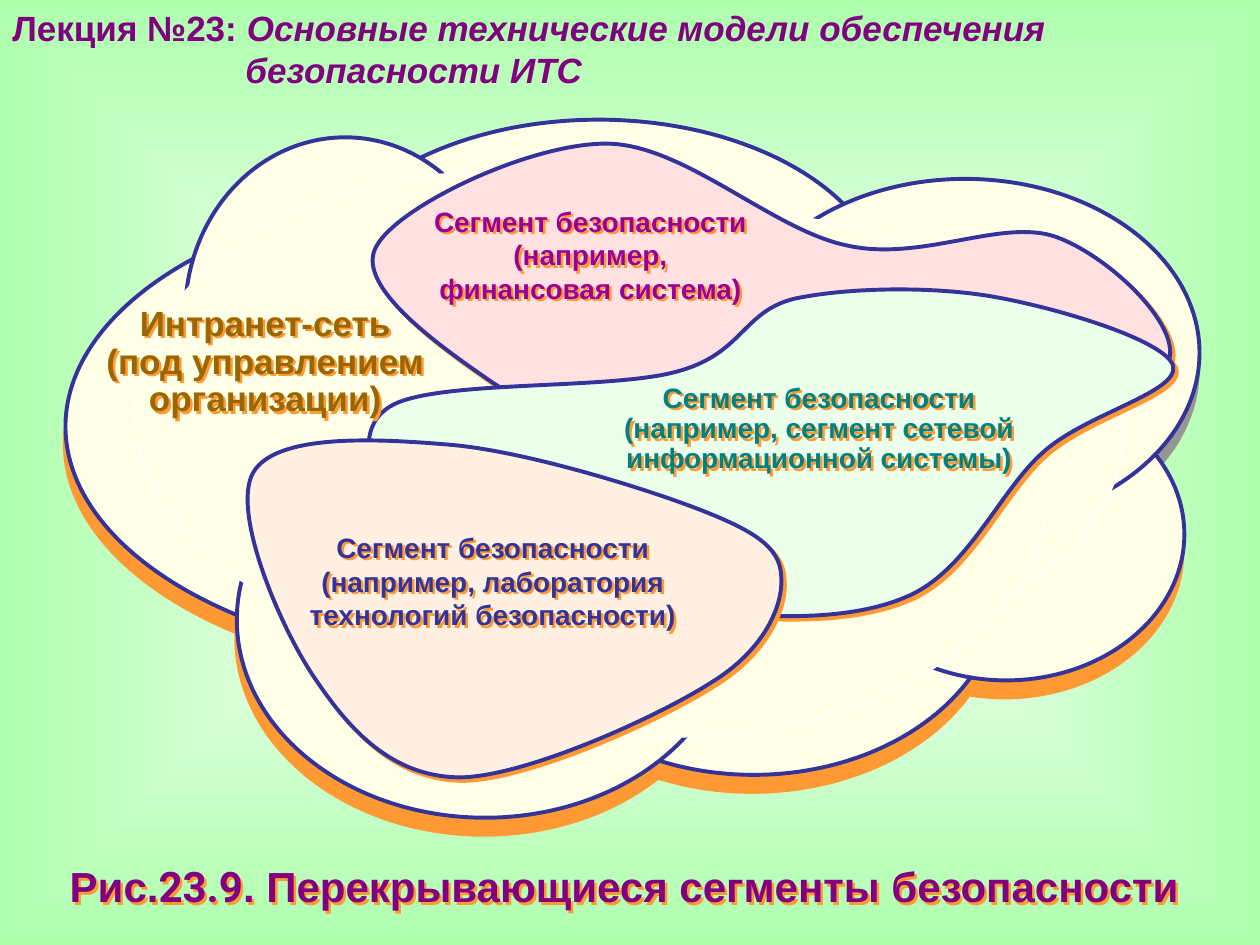
from dataclasses import dataclass
from typing import NamedTuple, Optional

from lxml.etree import SubElement
from pptx import Presentation
from pptx.dml.color import RGBColor
from pptx.enum.shapes import MSO_SHAPE as Preset
from pptx.enum.text import MSO_ANCHOR as Anchor, MSO_AUTO_SIZE as AutoSize, PP_ALIGN as Align
from pptx.oxml.ns import qn
from pptx.util import Cm, Pt


@dataclass(frozen=True)
class Theme:
    font: str = "Arial"
    number_font: str = "Roboto"
    heading_size: int = 20
    label_size: int = 16
    caption_size: int = 24
    outline_width: float = 2.25
    shadow_width: float = 1.5
    core_width: float = 0.75
    heading: str = "800080"
    intranet: str = "996600"
    finance: str = "990099"
    network: str = "008080"
    outline: str = "333399"
    cloud: str = "FFFFE7"
    finance_fill: str = "FFE1E1"
    network_fill: str = "EBFFEB"
    lab_fill: str = "FFF0E1"
    orange: str = "FF9933"
    grey: str = "969696"
    white: str = "FFFFFF"
    green: str = "AFFFAF"


class Box(NamedTuple):
    """Left, top, width and height in inches."""
    left: float
    top: float
    width: float
    height: float

    def emu(self) -> list[int]:
        return [inch(value) for value in self]


class Lobe(NamedTuple):
    box: Box
    shadow: str


class Segment(NamedTuple):
    """Closed outline: a start point, then three points for each Bezier curve."""
    fill: str
    points: list[tuple[float, float]]


class Label(NamedTuple):
    box: Box
    lines: list[str]
    color: str
    size: int
    spacing: Optional[float] = None


THEME = Theme()
SHADOW_SHIFT = (-0.01, 0.14)

LOBES = [
    Lobe(Box(4.01, 3.15, 3.94, 3), THEME.orange),
    Lobe(Box(2.45, 0.95, 4.6, 2.87), THEME.grey),
    Lobe(Box(6.57, 3.08, 2.83, 2.32), THEME.orange),
    Lobe(Box(5.8, 1.42, 3.72, 2.76), THEME.grey),
    Lobe(Box(0.52, 1.5, 6.94, 3.77), THEME.orange),
    Lobe(Box(1.88, 3.35, 3.94, 3.14), THEME.orange),
    Lobe(Box(1.47, 1.09, 2.54, 2.8), THEME.grey),
]
CLOUD_CORE = [Box(1.24, 1.61, 7.66, 3.79), Box(1.07, 1.35, 5.97, 3.84), Box(2.34, 2.01, 5.97, 3.84)]

SEGMENTS = [
    Segment(THEME.finance_fill, [
        (8.38, 1.88), (8.8, 2.03), (9.36, 2.57), (9.28, 2.85),
        (9.2, 3.14), (8.51, 3.45), (7.89, 3.59), (7.26, 3.73), (6.19, 3.78), (5.53, 3.68),
        (4.87, 3.59), (4.33, 3.31), (3.9, 3.03), (3.48, 2.74), (2.83, 2.28), (2.98, 1.97),
        (3.13, 1.65), (4.19, 1.14), (4.81, 1.14), (5.43, 1.14), (6.13, 1.83), (6.73, 1.95),
        (7.32, 2.08), (7.95, 1.73), (8.38, 1.88)]),
    Segment(THEME.network_fill, [
        (7.21, 4.73), (6.74, 4.94), (6.06, 4.91), (5.42, 4.83),
        (4.78, 4.74), (3.74, 4.5), (3.36, 4.23), (2.97, 3.97), (2.76, 3.44), (3.09, 3.23),
        (3.43, 3.01), (4.83, 3.1), (5.37, 2.95), (5.9, 2.81), (5.89, 2.47), (6.31, 2.37),
        (6.74, 2.28), (7.42, 2.27), (7.91, 2.36), (8.41, 2.45), (9.24, 2.7), (9.31, 2.9),
        (9.37, 3.11), (8.63, 3.28), (8.29, 3.58), (7.94, 3.88), (7.69, 4.52), (7.21, 4.73)]),
    Segment(THEME.lab_fill, [
        (6.2, 4.57), (6.19, 4.34), (5.98, 4.21), (5.54, 4.04),
        (5.1, 3.87), (4.16, 3.58), (3.57, 3.53), (2.98, 3.48), (2.19, 3.44), (2.01, 3.75),
        (1.83, 4.06), (2.23, 5), (2.51, 5.4), (2.78, 5.8), (3.11, 6.16), (3.64, 6.17),
        (4.16, 6.17), (5.22, 5.69), (5.64, 5.42), (6.07, 5.16), (6.22, 4.8), (6.2, 4.57)]),
]

LABELS = [
    Label(Box(0.77, 2.43, 2.67, 0.9), ["Интранет-сеть", "(под управлением организации)"],
          THEME.intranet, THEME.heading_size, 0.9),
    Label(Box(3.39, 1.62, 2.59, 0.8), ["Сегмент безопасности (например, финансовая система)"],
          THEME.finance, THEME.label_size),
    Label(Box(4.94, 3.05, 3.12, 0.72),
          ["Сегмент безопасности (например, сегмент сетевой информационной системы)"],
          THEME.network, THEME.label_size, 0.9),
    Label(Box(2.45, 4.21, 2.92, 0.8),
          ["Сегмент безопасности (например, лаборатория технологий безопасности)"],
          THEME.outline, THEME.label_size),
]


def inch(value: float) -> int:
    return Cm(value * 2.54)


def paint(shape, fill: str, line: str, width: float) -> None:
    shape.shadow.inherit = False
    shape.fill.solid()
    shape.fill.fore_color.rgb = RGBColor.from_string(fill)
    shape.line.color.rgb = RGBColor.from_string(line)
    shape.line.width = Pt(width)


def cast_shadow(shape, distance: float) -> None:
    """Drop a sharp orange shadow to the lower right."""
    shape.shadow.inherit = False
    effects = shape.element.spPr.find(qn("a:effectLst"))
    shadow = SubElement(effects, qn("a:outerShdw"), dist=str(int(Pt(distance))), dir="2700000",
                        algn="ctr", rotWithShape="0")
    SubElement(shadow, qn("a:srgbClr"), val=THEME.orange)


def add_ellipse(shapes, box: Box, fill: str, line: str, width: float) -> None:
    paint(shapes.add_shape(Preset.OVAL, *box.emu()), fill, line, width)


def add_cloud(shapes) -> None:
    dx, dy = SHADOW_SHIFT
    for box, shadow in LOBES:
        shifted = box._replace(left=box.left + dx, top=box.top + dy)
        add_ellipse(shapes, shifted, shadow, shadow, THEME.shadow_width)
    for lobe in LOBES:
        add_ellipse(shapes, lobe.box, THEME.cloud, THEME.outline, THEME.outline_width)
    for box in CLOUD_CORE:
        add_ellipse(shapes, box, THEME.cloud, THEME.white, THEME.core_width)


def add_segment(shapes, segment: Segment) -> None:
    start, *rest = [(inch(x), inch(y)) for x, y in segment.points]
    builder = shapes.build_freeform(*start)
    builder.add_line_segments(rest, close=True)
    shape = builder.convert_to_shape()
    steps = list(shape.element.iter(qn("a:lnTo")))
    for trio in zip(steps[::3], steps[1::3], steps[2::3]):
        curve = trio[0].makeelement(qn("a:cubicBezTo"))
        trio[0].addprevious(curve)
        for step in trio:
            curve.append(step[0])
            step.getparent().remove(step)
    paint(shape, segment.fill, THEME.outline, THEME.outline_width)
    cast_shadow(shape, 2.8)


def add_frame(shapes, box: Box):
    shape = shapes.add_textbox(*box.emu())
    frame = shape.text_frame
    frame.word_wrap = True
    frame.auto_size = AutoSize.SHAPE_TO_FIT_TEXT
    return shape, frame


def add_shadowed_frame(shapes, box: Box):
    shape, frame = add_frame(shapes, box)
    frame.vertical_anchor = Anchor.MIDDLE
    frame.margin_left = frame.margin_top = frame.margin_right = frame.margin_bottom = 0
    cast_shadow(shape, 2)
    return frame


def style(paragraph, size: int, color: str) -> None:
    font = paragraph.font
    font.name, font.size, font.bold = THEME.font, Pt(size), True
    font.color.rgb = RGBColor.from_string(color)


def add_label(shapes, label: Label) -> None:
    frame = add_shadowed_frame(shapes, label.box)
    for index, line in enumerate(label.lines):
        paragraph = frame.add_paragraph() if index else frame.paragraphs[0]
        paragraph.text = line
        paragraph.alignment = Align.CENTER
        paragraph.line_spacing = label.spacing
        style(paragraph, label.size, label.color)


def add_heading(shapes) -> None:
    _, frame = add_frame(shapes, Box(0, 0, 10, 0.77))
    first, second = frame.paragraphs[0], frame.add_paragraph()
    first.add_run().text = "Лекция №23: "
    topic = first.add_run()
    topic.text = "Основные технические модели обеспечения"
    topic.font.italic = True
    second.text = "безопасности ИТС"
    second._p.get_or_add_pPr().set("marL", str(int(inch(1.85))))
    second.font.italic = True
    for paragraph in (first, second):
        style(paragraph, THEME.heading_size, THEME.heading)


def add_caption(shapes) -> None:
    frame = add_shadowed_frame(shapes, Box(0, 6.83, 10, 0.4))
    frame.margin_right = inch(0.09)
    caption = frame.paragraphs[0]
    caption.alignment = Align.CENTER
    style(caption, THEME.caption_size, THEME.heading)
    for words in ("Рис.", "23.9", ". Перекрывающиеся сегменты безопасности"):
        run = caption.add_run()
        run.text = words
        run.font.name = THEME.number_font if words == "23.9" else THEME.font


def paint_background(slide) -> None:
    """Fade from a white centre to green edges."""
    fill = slide.background.fill
    fill.gradient()
    for stop, color, position in zip(fill.gradient_stops, (THEME.white, THEME.green), (0, 1)):
        stop.color.rgb = RGBColor.from_string(color)
        stop.position = position
    gradient = next(slide.element.iter(qn("a:gradFill")))
    linear = gradient.find(qn("a:lin"))
    shade = linear.makeelement(qn("a:path"), {"path": "shape"})
    SubElement(shade, qn("a:fillToRect"), l="50000", t="50000", r="50000", b="50000")
    gradient.replace(linear, shade)


def main() -> None:
    deck = Presentation()
    deck.slide_width, deck.slide_height = Cm(25.4), Cm(19.05)
    slide = deck.slides.add_slide(deck.slide_layouts[6])
    paint_background(slide)
    add_heading(slide.shapes)
    diagram = slide.shapes.add_group_shape().shapes
    add_cloud(diagram)
    for segment in SEGMENTS:
        add_segment(diagram, segment)
    for label in LABELS:
        add_label(diagram, label)
    add_caption(slide.shapes)
    deck.save("out.pptx")


if __name__ == "__main__":
    main()
